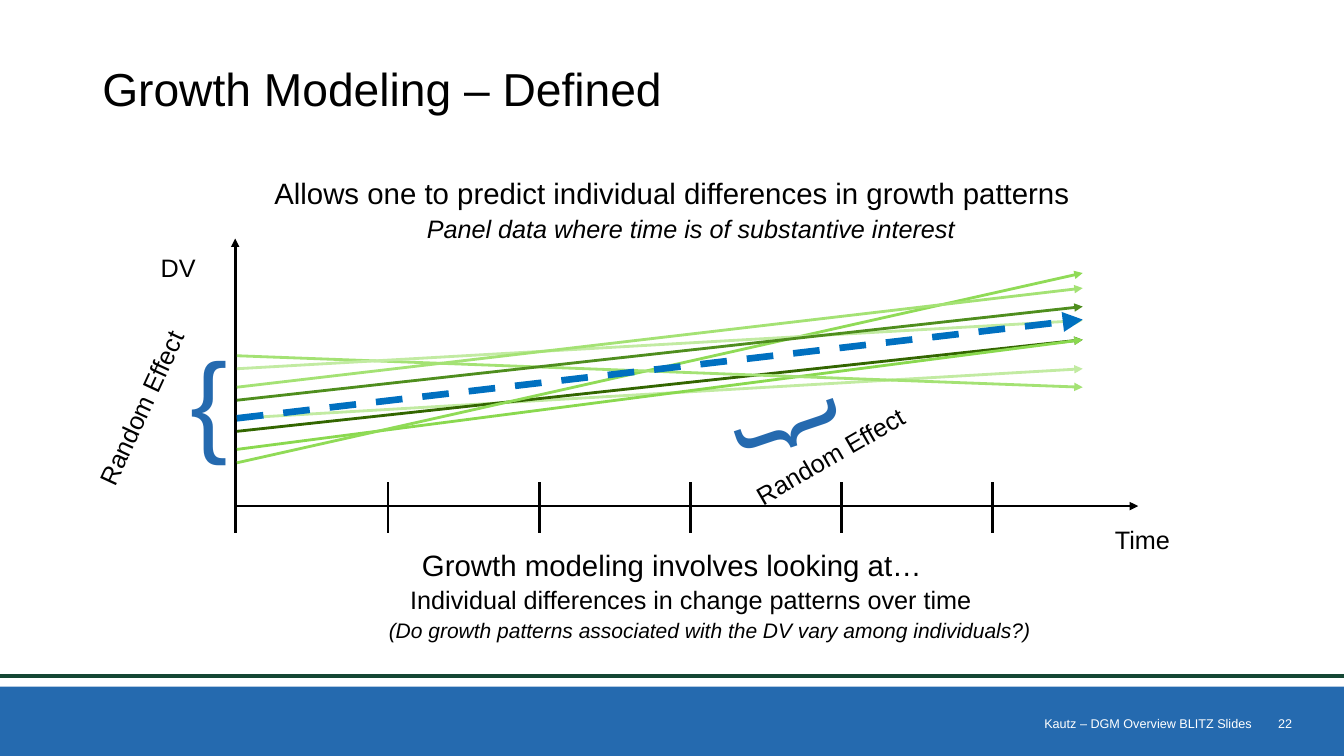
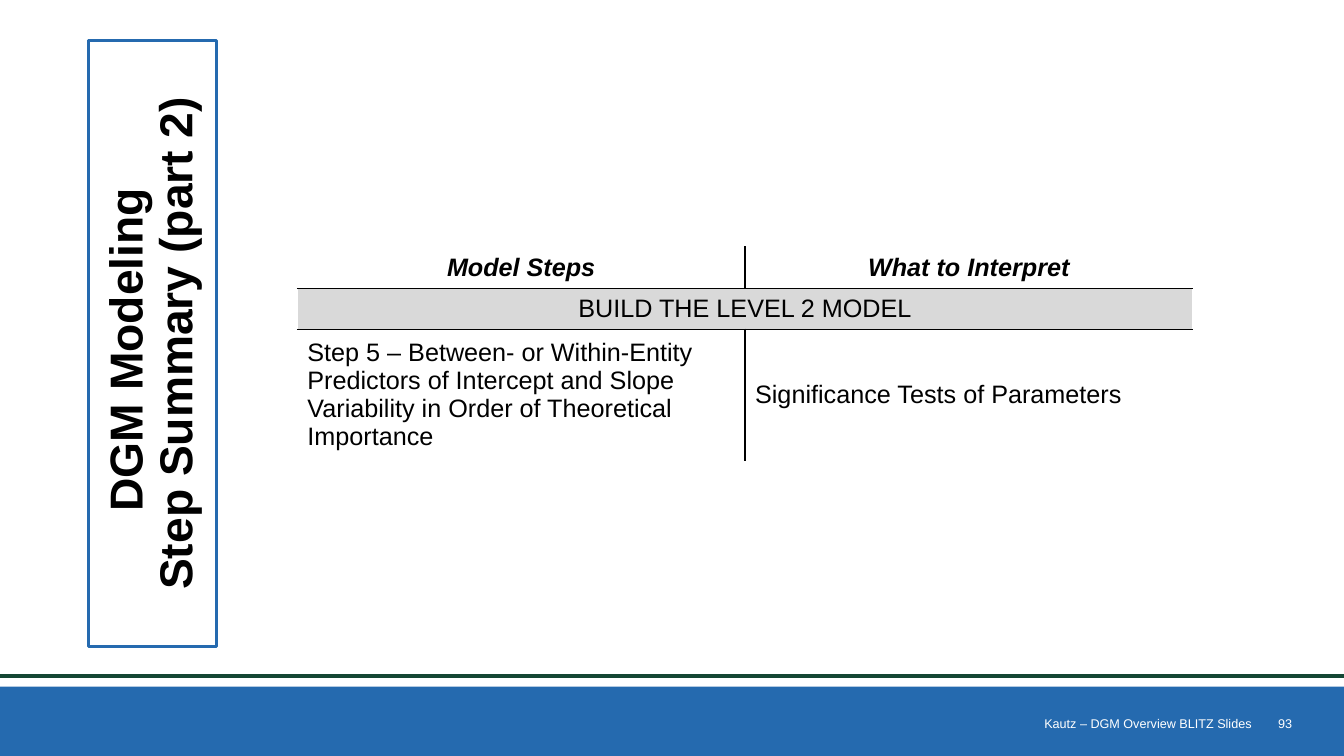
import lxml.etree
import pptx
import pptx.dml.color
import pptx.enum.dml
import pptx.enum.shapes
import pptx.enum.text
import pptx.oxml.ns
import pptx.util

RGB = pptx.dml.color.RGBColor
BLACK = RGB(0x00, 0x00, 0x00)
WHITE = RGB(0xFF, 0xFF, 0xFF)
BLUE = RGB(0x25, 0x6A, 0xAF)
BRIGHT = RGB(0x00, 0x70, 0xC0)
PINE = RGB(0x15, 0x47, 0x34)
GREY = RGB(0xD9, 0xD9, 0xD9)
PALE = RGB(0xC2, 0xEB, 0xA2)
LIGHT = RGB(0xA4, 0xE2, 0x74)
LIME = RGB(0x8A, 0xD9, 0x4F)
FRESH = RGB(0x90, 0xDB, 0x57)
LEAF = RGB(0x4F, 0x8E, 0x1E)
DEEP = RGB(0x33, 0x66, 0x00)

COLS, ROWS = 160, 90
FONT = "Arial"
LEFT, CENTER, RIGHT = (pptx.enum.text.PP_ALIGN.LEFT, pptx.enum.text.PP_ALIGN.CENTER,
                       pptx.enum.text.PP_ALIGN.RIGHT)
TOP, MIDDLE = pptx.enum.text.MSO_ANCHOR.TOP, pptx.enum.text.MSO_ANCHOR.MIDDLE
DASH = pptx.enum.dml.MSO_LINE.DASH


def grid(*units):
    """Turn grid units (a twelfth of an inch, both ways) into lengths."""
    return [pptx.util.Inches(unit / 12) for unit in units]


def add_node(parent, tag, **attrs):
    return lxml.etree.SubElement(parent, pptx.oxml.ns.qn(tag), attrs)


class Deck:
    """Holds the shared style and the slide being drawn."""

    def __init__(self):
        self.show = pptx.Presentation()
        self.show.slide_width, self.show.slide_height = grid(COLS, ROWS)
        self.slide = None

    def start(self, number):
        """Open a slide with its band, rule and footer."""
        self.slide = self.show.slides.add_slide(self.show.slide_layouts[6])
        band = self.slide.shapes.add_shape(
            pptx.enum.shapes.MSO_SHAPE.RECTANGLE, *grid(0, 81.75, COLS, 8.25))
        band.shadow.inherit = False
        band.fill.solid()
        band.fill.fore_color.rgb = BLUE
        band.line.fill.background()
        self.line((0, 80.5), (COLS, 80.5), PINE, 3)
        foot = dict(size=9, color=WHITE, align=RIGHT, anchor=MIDDLE)
        self.text(number, (149, 84.85, 6, 2.5), **foot)
        label = self.text("Kautz – DGM Overview BLITZ Slides", (53, 84.85, 96, 2.5), **foot)
        label.text_frame.margin_right = 0

    def style(self, para, text, size=18, color=BLACK, align=LEFT, bold=False, italic=False):
        para.text = text
        para.alignment = align
        font = para.font
        font.name, font.size, font.color.rgb = FONT, pptx.util.Pt(size), color
        font.bold, font.italic = bold, italic

    def text(self, text, area, anchor=TOP, turn=0, grow=False, **look):
        box = self.slide.shapes.add_textbox(*grid(*area))
        box.rotation = turn
        frame = box.text_frame
        frame.word_wrap = True
        frame.vertical_anchor = anchor
        if grow:
            frame.auto_size = pptx.enum.text.MSO_AUTO_SIZE.SHAPE_TO_FIT_TEXT
        self.style(frame.paragraphs[0], text, **look)
        return box

    def title(self, text, area, **look):
        box = self.text(text, area, anchor=MIDDLE, size=33, **look)
        box.text_frame.paragraphs[0].line_spacing = 0.9
        return box

    def outline(self, area, items):
        """Centred lines, each given as text, level, size and italic."""
        frame = self.slide.shapes.add_textbox(*grid(*area)).text_frame
        frame.word_wrap = True
        for index, (text, level, size, italic) in enumerate(items):
            para = frame.add_paragraph() if index else frame.paragraphs[0]
            self.style(para, text, size, align=CENTER, italic=italic)
            para.line_spacing = 0.9
            para.space_before = pptx.util.Pt(3.8 if index else 0)
            props = para._p.get_or_add_pPr()
            props.set("marL", str(pptx.util.Inches(0.375 * level)))
            props.set("indent", "0")

    def line(self, start, end, color=BLACK, width=2, arrow=False, dash=None):
        link = self.slide.shapes.add_connector(
            pptx.enum.shapes.MSO_CONNECTOR.STRAIGHT, *grid(*start, *end))
        link.line.color.rgb = color
        link.line.width = pptx.util.Pt(width)
        if dash:
            link.line.dash_style = dash
        props = link.element.spPr
        if arrow:
            add_node(props.find(pptx.oxml.ns.qn("a:ln")), "a:tailEnd", type="triangle")
        add_node(props, "a:effectLst")

    def border(self, cell, sides):
        """Rule the named sides in black and the others in white."""
        props = cell._tc.get_or_add_tcPr()
        for side in "LRTB":
            edge = add_node(props, "a:ln" + side, w=str(pptx.util.Pt(1)))
            color = BLACK if side in sides else WHITE
            add_node(add_node(edge, "a:solidFill"), "a:srgbClr", val=str(color))

    def table(self, spot, width, heights, rows, band):
        """Two columns; the row numbered band spans both on grey."""
        size = (2 * width, sum(heights))
        table = self.slide.shapes.add_table(len(rows), 2, *grid(*spot, *size)).table
        table.first_row = table.horz_banding = False
        for col in table.columns:
            col.width = grid(width)[0]
        for r, (height, row) in enumerate(zip(heights, rows)):
            table.rows[r].height = grid(height)[0]
            for c in range(2):
                cell = table.cell(r, c)
                sides = "T" * (r > 0) + "B" * (r < len(rows) - 1)
                self.border(cell, sides if r == band else sides + "RL"[c])
                if r == band:
                    cell.fill.solid()
                    cell.fill.fore_color.rgb = GREY
                else:
                    cell.fill.background()
                cell.vertical_anchor = MIDDLE
                if c < len(row):
                    head = r == 0
                    self.style(cell.text_frame.paragraphs[0], row[c], bold=head, italic=head,
                               align=CENTER if r <= band else LEFT)
        table.cell(band, 0).merge(table.cell(band, 1))


def draw_growth(deck):
    deck.start("22")
    deck.title("Growth Modeling – Defined", (11, 3.25, 138, 15.25))
    deck.outline((11, 20.75, 138, 8), [
        ("Allows one to predict individual differences in growth patterns", 0, 21, False),
        ("Panel data where time is of substantive interest", 1, 18, True)])
    deck.outline((11, 65, 138, 13), [
        ("Growth modeling involves looking at…", 0, 21, False),
        ("Individual differences in change patterns over time", 1, 18, False),
        ("(Do growth patterns associated with the DV vary among individuals?)", 2, 15, True)])

    deck.line((28, 63.4), (28, 28.4), arrow=True)
    deck.line((28, 60.25), (135.5, 60.25), arrow=True)
    for tick in range(5):
        x = 46.2 + 18 * tick
        deck.line((x, 57.4), (x, 63.4))
    deck.text("Time", (130.7, 61.8, 10.6, 4.8), align=CENTER, grow=True)
    deck.text("DV", (16.1, 29.5, 10.2, 4.8), align=CENTER, grow=True)

    first, last = 28.2, 128.9
    for low, high, color in (
            (49.8, 43.9, PALE), (51.35, 40.45, DEEP), (53.5, 40.45, LIME),
            (55.1, 32.5, FRESH), (42.35, 46.1, LIGHT), (43.9, 38.15, PALE),
            (47.65, 36.5, LEAF), (46.1, 34.3, LIGHT)):
        deck.line((first, low), (last, high), color, arrow=True)
    deck.line((first, 49.8), (last, 38.05), BRIGHT, 4.75, arrow=True, dash=DASH)

    for brace, turn, label, tilt in (
            ((21.5, 38.75), 0, (5.5, 45.85), 294.8),
            ((84.5, 40.1), 251.4, (87.7, 51.7), 330)):
        deck.text("{", (*brace, 13.4, 17.4), turn=turn, size=80, color=BLUE, grow=True)
        deck.text("Random Effect", (*label, 22.8, 4.8), turn=tilt, grow=True)


def draw_steps(deck):
    deck.start("93")
    box = deck.title("DGM Modeling \vStep Summary (part 2)", (-17.9, 33.25, 72.1, 15.25),
                     turn=270, align=CENTER, bold=True)
    box.line.color.rgb = BLUE
    box.line.width = pptx.util.Pt(2.25)
    deck.table((35.4, 29.4), 53.3, (4.9, 4.9, 14.6), [
        ("Model Steps", "What to Interpret"),
        ("BUILD THE LEVEL 2 MODEL",),
        ("Step 5 – Between- or Within-Entity Predictors of Intercept and Slope "
         "Variability in Order of Theoretical Importance",
         "Significance Tests of Parameters")], band=1)


def main():
    deck = Deck()
    draw_growth(deck)
    draw_steps(deck)
    deck.show.save("out.pptx")


if __name__ == "__main__":
    main()
